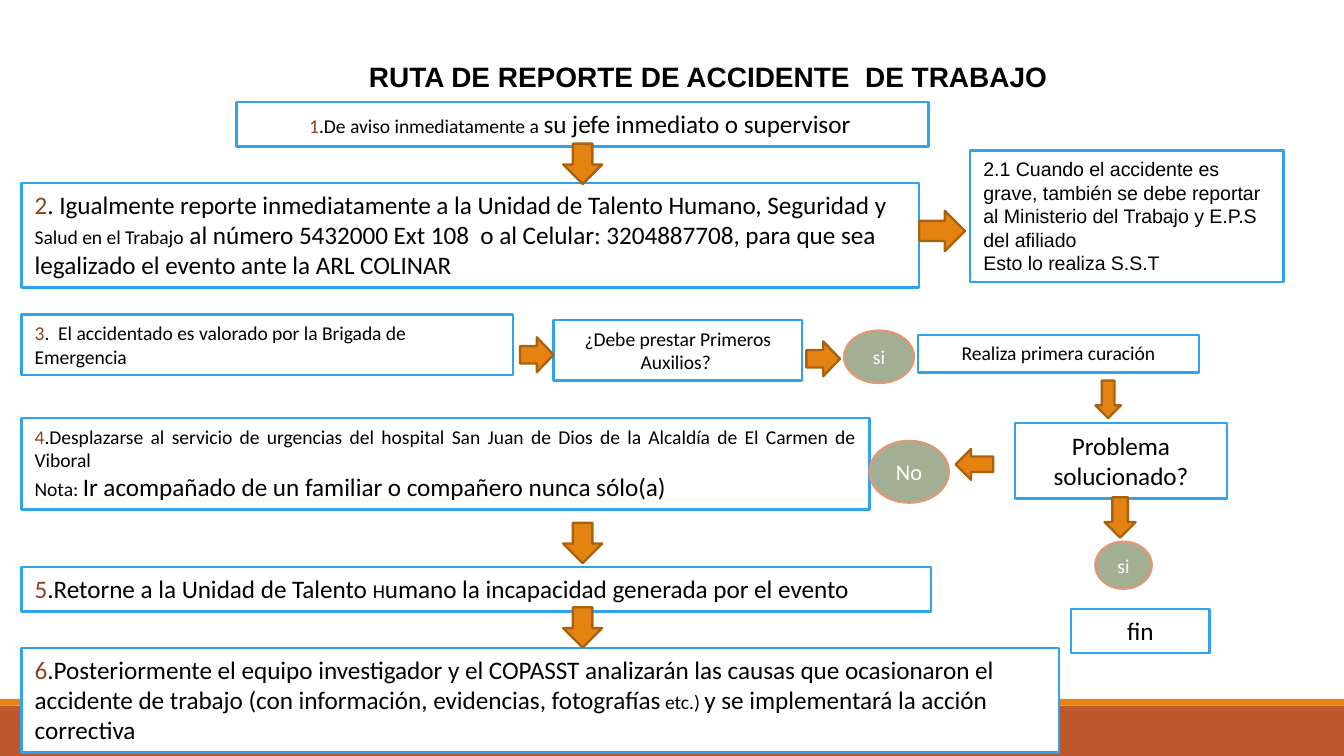
"""Build the slide with the workplace accident reporting route."""
from pptx import Presentation
from pptx.dml.color import RGBColor
from pptx.enum.shapes import MSO_SHAPE
from pptx.enum.text import MSO_ANCHOR, MSO_AUTO_SIZE, PP_ALIGN
from pptx.util import Pt

COLORS = {
    "black": "000000", "white": "FFFFFF", "number": "8E4221", "blue": "2FA3EE",
    "orange": "E48312", "arrow edge": "A9610D", "rust": "BD582C",
    "sage": "A2AF92", "salmon": "E09878",
}
SMALL, LARGE = 10.5, 13.5
LEFT, CENTER, JUSTIFY = PP_ALIGN.LEFT, PP_ALIGN.CENTER, PP_ALIGN.JUSTIFY
MARGIN = 11.5
SPINE = 301.7

TITLE = "RUTA DE REPORTE DE ACCIDENTE  DE TRABAJO"
BANDS = [((0, 378, 720, 27), "rust"), ((0, 374.4, 720, 3.6), "orange")]

# numbered: (frame, alignment, number, number size, paragraphs of (text, size))
STEPS = [
    ((MARGIN, 97.9, 481, 56.2), LEFT, "2", LARGE, [[
        (". Igualmente reporte inmediatamente a la Unidad de Talento Humano, Seguridad y ", LARGE),
        ("Salud en el Trabajo", SMALL),
        (" al número 5432000 Ext 108  o al Celular: 3204887708, para que sea "
         "legalizado el evento ante la ARL COLINAR", LARGE)]]),
    ((126.7, 54.7, 370.8, 23.8), CENTER, "1", SMALL, [[
        (".De aviso inmediatamente a ", SMALL),
        ("su jefe inmediato o supervisor ", LARGE)]]),
    ((MARGIN, 303.8, 487.4, 23.8), LEFT, "5", LARGE, [[
        (".Retorne a la Unidad de Talento ", LARGE), ("H", SMALL),
        ("umano la incapacidad generada por el evento", LARGE)]]),
    ((MARGIN, 168.5, 263.5, 32.4), LEFT, "3", SMALL, [[
        (".  El accidentado es valorado por la Brigada de Emergencia", SMALL)]]),
    ((MARGIN, 223.9, 454.3, 49), JUSTIFY, "4", SMALL, [
        [(".Desplazarse al servicio de urgencias del hospital San Juan de Dios "
          "de la Alcaldía de El Carmen de Viboral", SMALL)],
        [("Nota: ", SMALL),
         ("Ir acompañado de un familiar o compañero nunca sólo(a)", LARGE)]]),
    ((MARGIN, 347, 555.8, 56.2), LEFT, "6", LARGE, [[
        (".Posteriormente el equipo investigador y el COPASST analizarán las causas que "
         "ocasionaron el accidente de trabajo (con información, evidencias, fotografías", LARGE),
        (" etc.) ", SMALL), ("y se implementará la acción correctiva", LARGE)]]),
]
NOTES = [
    ((519.8, 80.6, 167.8, 70.6), LEFT, "Arial", SMALL, [
        "2.1 Cuando el accidente es grave, también se debe reportar "
        "al Ministerio del Trabajo y E.P.S del afiliado",
        "Esto lo realiza S.S.T"]),
    ((543.6, 226.8, 113.8, 40.3), CENTER, "Calibri", LARGE, ["Problema solucionado?"]),
    ((296.6, 171.4, 133.2, 32.4), CENTER, "Calibri", SMALL, ["¿Debe prestar Primeros Auxilios? "]),
    ((573.8, 326.2, 74.2, 23.8), CENTER, "Calibri", LARGE, ["fin"]),
    ((491.8, 179.3, 150.5, 20.2), CENTER, "Calibri", SMALL, ["Realiza primera curación"]),
]
ANSWERS = [
    ((452.2, 177.1, 37.4, 28.1), "si", SMALL),
    ((586.8, 290.2, 30.2, 25.2), "si", SMALL),
    ((465.8, 236.2, 42.5, 33.1), "No", 12),
]
ARROWS = [(MSO_SHAPE.DOWN_ARROW, (SPINE, top, 20.9, 21.6)) for top in (77, 280.1, 325.4)] + [
    (MSO_SHAPE.DOWN_ARROW, (586.8, 203.8, 13.7, 20.2)),
    (MSO_SHAPE.DOWN_ARROW, (591.8, 266.4, 16.6, 21.6)),
    (MSO_SHAPE.RIGHT_ARROW, (278.6, 180.7, 18, 18.7)),
    (MSO_SHAPE.RIGHT_ARROW, (432, 182.9, 18, 18.7)),
    (MSO_SHAPE.RIGHT_ARROW, (492.5, 113, 24.5, 21.6)),
    (MSO_SHAPE.LEFT_ARROW, (511.9, 240.5, 20.2, 16.6)),
]


def color(name):
    return RGBColor.from_string(COLORS[name])


def add_figure(page, kind, frame, fill, line=None):
    figure = page.shapes.add_shape(kind, *map(Pt, frame))
    figure.shadow.inherit = False
    figure.fill.solid()
    figure.fill.fore_color.rgb = color(fill)
    if line:
        figure.line.color.rgb = color(line)
        figure.line.width = Pt(1.25)
    else:
        figure.line.fill.background()
    return figure


def style(font, size, ink, name="Calibri"):
    font.name, font.size, font.color.rgb = name, Pt(size), color(ink)


def write(figure, paragraphs, alignment, anchor=MSO_ANCHOR.TOP, name="Calibri"):
    frame = figure.text_frame
    frame.word_wrap = True
    frame.vertical_anchor = anchor
    for index, spans in enumerate(paragraphs):
        para = frame.add_paragraph() if index else frame.paragraphs[0]
        para.alignment = alignment
        if len(spans) == 1:
            text, size, ink = spans[0]
            para.add_run().text = text
            style(para.font, size, ink, name)
            continue
        para.font.name = name
        for text, size, ink in spans:
            span = para.add_run()
            span.text = text
            style(span.font, size, ink, name)


def main():
    deck = Presentation()
    deck.slide_width, deck.slide_height = Pt(720), Pt(405)
    page = deck.slides.add_slide(deck.slide_layouts[5])

    title = page.shapes.title
    title.left, title.top, title.width, title.height = map(Pt, (129.6, 28.1, 499.7, 25.2))
    title.text_frame.auto_size = MSO_AUTO_SIZE.NONE
    write(title, [[(TITLE, 15, "black")]], CENTER, name="Arial")
    title.text_frame.paragraphs[0].font.bold = True

    for frame, fill in BANDS:
        add_figure(page, MSO_SHAPE.RECTANGLE, frame, fill)
    for frame, alignment, number, size, paragraphs in STEPS:
        lines = [[(text, points, "black") for text, points in spans] for spans in paragraphs]
        lines[0].insert(0, (number, size, "number"))
        write(add_figure(page, MSO_SHAPE.RECTANGLE, frame, "white", "blue"), lines, alignment)
    for frame, alignment, name, size, texts in NOTES:
        box = add_figure(page, MSO_SHAPE.RECTANGLE, frame, "white", "blue")
        write(box, [[(text, size, "black")] for text in texts], alignment, name=name)
    for frame, text, size in ANSWERS:
        answer = add_figure(page, MSO_SHAPE.OVAL, frame, "sage", "salmon")
        answer.text_frame.margin_left = answer.text_frame.margin_right = 0
        write(answer, [[(text, size, "white")]], CENTER, MSO_ANCHOR.MIDDLE)
    for kind, frame in ARROWS:
        add_figure(page, kind, frame, "orange", "arrow edge")
    deck.save("out.pptx")


if __name__ == "__main__":
    main()
